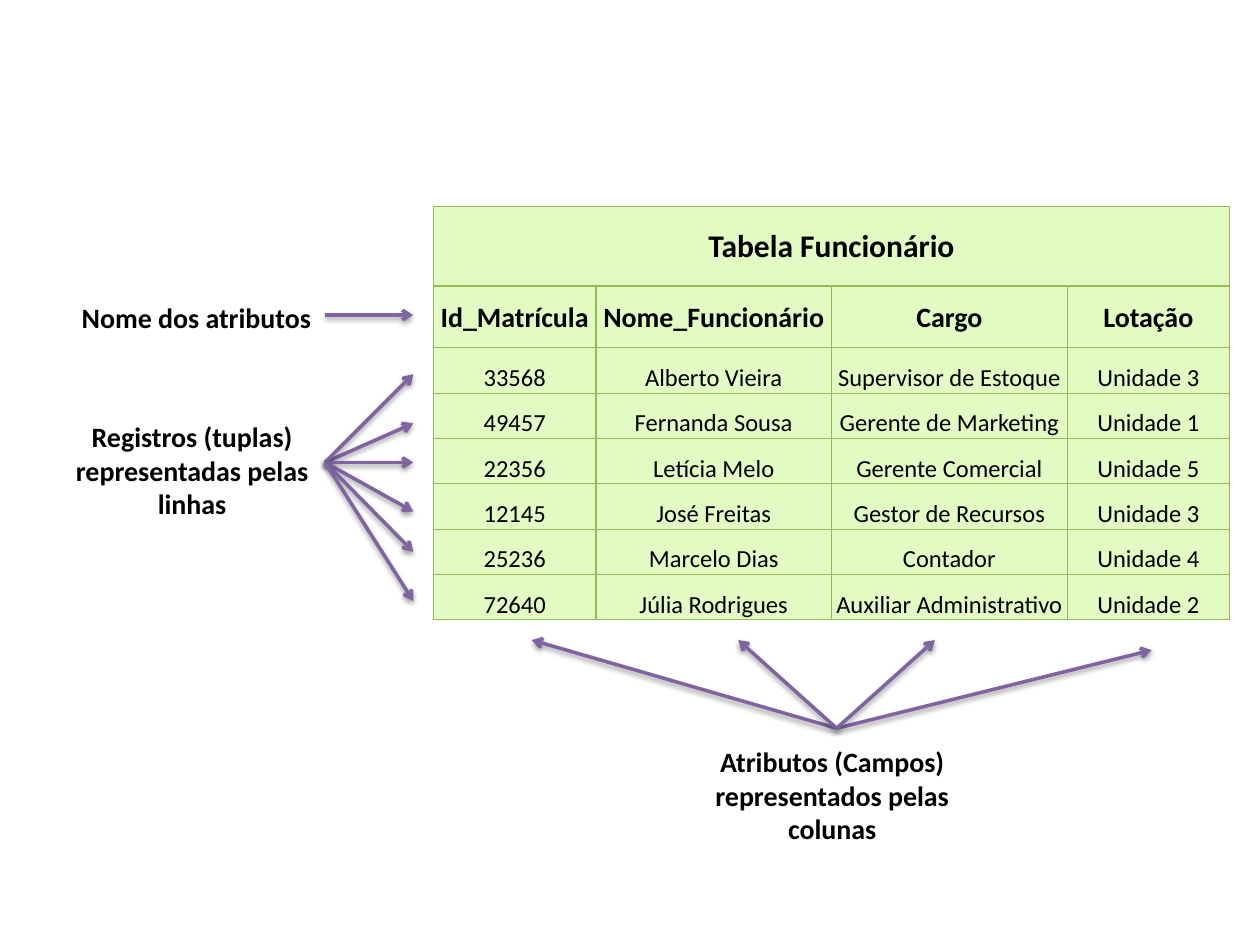
from lxml import etree
from pptx import Presentation
from pptx.dml.color import RGBColor
from pptx.enum import shapes, text
from pptx.oxml import parse_xml
from pptx.oxml.ns import nsdecls, qn
from pptx.util import Inches, Pt

COLORS = {"text": "000000", "cell": "E2FBC2", "border": "98B955", "arrow": "8064A2"}
SHADOW = (
    f'<a:effectLst {nsdecls("a")}><a:outerShdw blurRad="40000" dist="20000" dir="5400000" '
    'rotWithShape="0"><a:srgbClr val="000000"><a:alpha val="38000"/></a:srgbClr>'
    '</a:outerShdw></a:effectLst>'
)

prs = Presentation()
prs.slide_width, prs.slide_height = Inches(10), Inches(7.5)
s = prs.slides.add_slide(prs.slide_layouts[6])


def write(tf, content, size, bold, align):
    p = tf.paragraphs[0]
    p.alignment = align
    r = p.add_run()
    r.text = content
    r.font.name = "Calibri"
    r.font.size = Pt(size)
    r.font.bold = bold
    r.font.color.rgb = RGBColor.from_string(COLORS["text"])


rows = [
    ["Tabela Funcionário", "", "", ""],
    ["Id_Matrícula", "Nome_Funcionário", "Cargo", "Lotação"],
    ["33568", "Alberto Vieira", "Supervisor de Estoque", "Unidade 3"],
    ["49457", "Fernanda Sousa", "Gerente de Marketing", "Unidade 1"],
    ["22356", "Letícia Melo", "Gerente Comercial", "Unidade 5"],
    ["12145", "José Freitas", "Gestor de Recursos", "Unidade 3"],
    ["25236", "Marcelo Dias", "Contador", "Unidade 4"],
    ["72640", "Júlia Rodrigues", "Auxiliar Administrativo", "Unidade 2"],
]
widths = [1.29, 1.87, 1.87, 1.29]
heights = [0.63, 0.49] + [0.36] * 6
table = s.shapes.add_table(
    len(rows), len(widths), Inches(3.44), Inches(1.64), Inches(6.33), Inches(3.28)
).table
table.first_row = table.horz_banding = False
for column, width in zip(table.columns, widths):
    column.width = Inches(width)
for row, height in zip(table.rows, heights):
    row.height = Inches(height)
table.cell(0, 0).merge(table.cell(0, 3))

for i, values in enumerate(rows):
    header = i < 2
    size = [18, 16][i] if header else 14
    for j, value in enumerate(values):
        cell = table.cell(i, j)
        cell.margin_left = cell.margin_top = cell.margin_right = Inches(0.01)
        cell.margin_bottom = 0
        cell.vertical_anchor = text.MSO_ANCHOR.MIDDLE if header else text.MSO_ANCHOR.BOTTOM
        cell.fill.solid()
        cell.fill.fore_color.rgb = RGBColor.from_string(COLORS["cell"])
        if value:
            write(cell.text_frame, value, size, header, text.PP_ALIGN.CENTER)
        tcPr = cell._tc.get_or_add_tcPr()
        for k, side in enumerate(("lnL", "lnR", "lnT", "lnB")):
            tcPr.insert(k, parse_xml(
                f'<a:{side} {nsdecls("a")} w="9525"><a:solidFill>'
                f'<a:srgbClr val="{COLORS["border"]}"/></a:solidFill></a:{side}>'
            ))

arrow_groups = [
    ((2.58, 2.5), [(3.28, 2.5)]),
    ((2.58, 3.67), [(3.28, y) for y in (3.36, 2.97, 3.67, 4.06, 4.38, 4.77)]),
    ((6.64, 5.78), [(4.22, 5.08), (9.14, 5.16), (5.86, 5.08), (7.42, 5.08)]),
]
for start, ends in arrow_groups:
    for end in ends:
        arrow = s.shapes.add_connector(
            shapes.MSO_CONNECTOR.STRAIGHT, *[Inches(v) for v in start + end]
        )
        arrow.line.color.rgb = RGBColor.from_string(COLORS["arrow"])
        arrow.line.width = Pt(2)
        etree.SubElement(arrow.line._get_or_add_ln(), qn("a:tailEnd"), type="arrow")
        arrow._element.spPr.append(parse_xml(SHADOW))

labels = [
    ("Nome dos atributos", 0.55, 2.34, 0.37, text.PP_ALIGN.LEFT),
    ("Registros (tuplas) representadas pelas linhas", 0.47, 3.28, 0.91, text.PP_ALIGN.CENTER),
    ("Atributos (Campos) representados pelas colunas", 5.55, 5.86, 0.91, text.PP_ALIGN.CENTER),
]
for content, left, top, height, align in labels:
    label = s.shapes.add_textbox(Inches(left), Inches(top), Inches(2.11), Inches(height))
    tf = label.text_frame
    tf.word_wrap = True
    tf.auto_size = text.MSO_AUTO_SIZE.SHAPE_TO_FIT_TEXT
    write(tf, content, 16, True, align)

prs.save("out.pptx")
